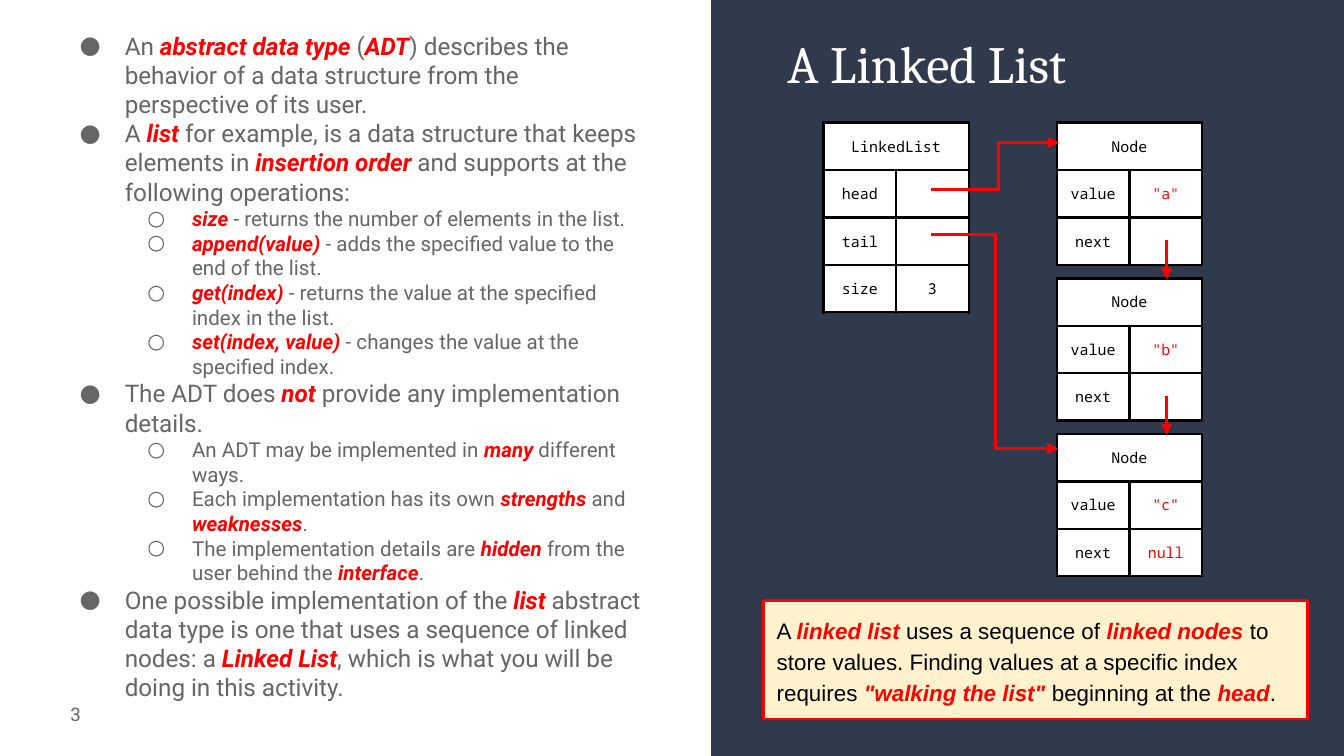
from dataclasses import dataclass

from lxml import etree
from pptx import Presentation
from pptx.dml.color import RGBColor
from pptx.enum.shapes import MSO_CONNECTOR, MSO_SHAPE
from pptx.enum.text import MSO_ANCHOR, PP_ALIGN
from pptx.oxml.ns import qn
from pptx.util import Pt

TOP, MIDDLE = MSO_ANCHOR.TOP, MSO_ANCHOR.MIDDLE
LEFT, CENTER, RIGHT = PP_ALIGN.LEFT, PP_ALIGN.CENTER, PP_ALIGN.RIGHT
STRAIGHT, ELBOW = MSO_CONNECTOR.STRAIGHT, MSO_CONNECTOR.ELBOW
RECTANGLE = MSO_SHAPE.RECTANGLE


@dataclass(frozen=True)
class Theme:
    navy: str = "31394D"
    white: str = "FFFFFF"
    black: str = "000000"
    gray: str = "666666"
    red: str = "FF0000"
    cream: str = "FFF2CC"
    title_font: str = "Cambria"
    body_font: str = "Roboto"
    code_font: str = "Noto Sans Mono"
    note_font: str = "Arial"
    title_size: float = 28
    level_sizes: tuple = (13, 11)
    note_size: float = 12
    number_size: float = 10
    code_size: float = 8
    line: float = 1.5
    inset: float = 7.2


THEME = Theme()

# Asterisks enclose the emphasised words; the number is the outline level.
ADT_POINTS = [
    (0, "An *abstract data type* (*ADT*) describes the behavior of a data "
        "structure from the perspective of its user."),
    (0, "A *list *for example, is a data structure that keeps elements in "
        "*insertion order* and supports at the following operations:"),
    (1, "*size *- returns the number of elements in the list."),
    (1, "*append(value)* - adds the specified value to the end of the list."),
    (1, "*get(index)* - returns the value at the specified index in the list."),
    (1, "*set(index, value)* - changes the value at the specified index."),
    (0, "The ADT does *not *provide any implementation details."),
    (1, "An ADT may be implemented in *many *different ways."),
    (1, "Each implementation has its own *strengths *and *weaknesses*."),
    (1, "The implementation details are *hidden *from the user behind the "
        "*interface*."),
    (0, "One possible implementation of the *list *abstract data type is one "
        "that uses a sequence of linked nodes: a *Linked List*, which is what "
        "you will be doing in this activity."),
]
WALKING_NOTE = ("A *linked list *uses a sequence of *linked nodes* to store values. "
                "Finding values at a specific index requires *\"walking the list\"* "
                "beginning at the *head*.")

BULLETS = ("●", "○")
INDENTS = ((36, -24.2), (72, -23.9))
FIELD_WIDTH, FIELD_HEIGHT = 38.9, 25.4
LIST_LEFT, NODE_LEFT, DIAGRAM_TOP, NODE_STEP = 441.2, 566.2, 65.7, 83.4


def rgb(color):
    return RGBColor.from_string(color)


def write(paragraph, text, *, font, size, color, align=LEFT, spacing=None):
    """Fill a paragraph; parts between asterisks become red bold italic."""
    paragraph.alignment = align
    if spacing:
        paragraph.line_spacing = spacing
    for index, part in enumerate(text.split("*")):
        if not part:
            continue
        emphasised = index % 2 == 1
        run = paragraph.add_run()
        run.text = part
        run.font.name, run.font.size = font, Pt(size)
        run.font.bold = run.font.italic = emphasised
        run.font.color.rgb = rgb(THEME.red if emphasised else color)


def prepare_frame(shape, anchor):
    frame = shape.text_frame
    frame.word_wrap = True
    frame.vertical_anchor = anchor
    frame.margin_left = frame.margin_right = Pt(THEME.inset)
    frame.margin_top = frame.margin_bottom = Pt(THEME.inset)
    return frame


def add_text_area(slide, box, anchor=MIDDLE):
    return prepare_frame(slide.shapes.add_textbox(*map(Pt, box)), anchor)


def add_panel(slide, box, fill, outline=None):
    panel = slide.shapes.add_shape(RECTANGLE, *map(Pt, box))
    panel.shadow.inherit = False
    panel.fill.solid()
    panel.fill.fore_color.rgb = rgb(fill)
    if outline:
        panel.line.color.rgb = rgb(outline)
        panel.line.width = Pt(THEME.line)
    else:
        panel.line.fill.background()
    return panel


def add_bullet(paragraph, level):
    paragraph.level = level
    properties = paragraph._p.get_or_add_pPr()
    margin, indent = INDENTS[level]
    properties.set("marL", str(Pt(margin)))
    properties.set("indent", str(Pt(indent)))
    color = etree.SubElement(properties, qn("a:buClr"))
    etree.SubElement(color, qn("a:srgbClr"), val=THEME.gray)
    etree.SubElement(properties, qn("a:buSzPts"), val=str(THEME.level_sizes[level] * 100))
    etree.SubElement(properties, qn("a:buFont"), typeface=THEME.body_font)
    etree.SubElement(properties, qn("a:buChar"), char=BULLETS[level])


def add_borders(cell):
    properties = cell._tc.get_or_add_tcPr()
    for position, side in enumerate(("a:lnL", "a:lnR", "a:lnT", "a:lnB")):
        border = etree.Element(qn(side), w=str(Pt(THEME.line)))
        fill = etree.SubElement(border, qn("a:solidFill"))
        etree.SubElement(fill, qn("a:srgbClr"), val=THEME.black)
        properties.insert(position, border)


def add_object_table(slide, left, top, class_name, fields, value_color):
    """Draw an object: its class name above rows of field name and value."""
    rows = [(class_name, ""), *fields]
    table = slide.shapes.add_table(len(rows), 2, Pt(left), Pt(top), Pt(2 * FIELD_WIDTH),
                                   Pt(len(rows) * FIELD_HEIGHT)).table
    table.first_row = table.horz_banding = False
    for column in table.columns:
        column.width = Pt(FIELD_WIDTH)
    table.cell(0, 0).merge(table.cell(0, 1))
    for row_index, row in enumerate(rows):
        table.rows[row_index].height = Pt(FIELD_HEIGHT)
        for column_index, text in enumerate(row):
            cell = table.cell(row_index, column_index)
            cell.fill.solid()
            cell.fill.fore_color.rgb = rgb(THEME.white)
            cell.vertical_anchor = MIDDLE
            cell.margin_left = cell.margin_right = Pt(THEME.inset if text else 0)
            cell.margin_top = cell.margin_bottom = Pt(THEME.inset if text else 0)
            write(cell.text_frame.paragraphs[0], text, font=THEME.code_font,
                  size=THEME.code_size, align=CENTER,
                  color=value_color if column_index else THEME.black)
            add_borders(cell)


def add_reference(slide, kind, start, end, bend=None):
    """Draw a red arrow; bend is the elbow's place as a share of the width."""
    arrow = slide.shapes.add_connector(kind, *map(Pt, (*start, *end)))
    arrow.line.color.rgb = rgb(THEME.red)
    arrow.line.width = Pt(THEME.line)
    etree.SubElement(arrow.line._get_or_add_ln(), qn("a:tailEnd"), type="triangle")
    properties = arrow._element.spPr
    etree.SubElement(properties, qn("a:effectLst"))
    if bend:
        adjustments = properties.find(qn("a:prstGeom")).find(qn("a:avLst"))
        etree.SubElement(adjustments, qn("a:gd"), name="adj1",
                         fmla=f"val {round(bend * 100000)}")


def main():
    presentation = Presentation()
    presentation.slide_width, presentation.slide_height = Pt(720), Pt(405)
    slide = presentation.slides.add_slide(presentation.slide_layouts[6])

    # Dark half and title
    add_panel(slide, (381, 0, 339, 405), THEME.navy)
    title = add_text_area(slide, (414.7, 9.4, 291.6, 50.4), TOP)
    write(title.paragraphs[0], "A Linked List", font=THEME.title_font,
          size=THEME.title_size, color=THEME.white)

    # Explanation of the abstract data type
    explanation = add_text_area(slide, (23.8, 21.6, 328.3, 349.2))
    for index, (level, text) in enumerate(ADT_POINTS):
        point = explanation.add_paragraph() if index else explanation.paragraphs[0]
        write(point, text, font=THEME.body_font, size=THEME.level_sizes[level],
              color=THEME.gray)
        add_bullet(point, level)

    # Slide number
    number = add_text_area(slide, (7.2, 367.2, 43.2, 31))
    write(number.paragraphs[0], "3", font=THEME.body_font, size=THEME.number_size,
          color=THEME.gray, align=RIGHT)

    # List object and its nodes
    for index, (value, following) in enumerate([('"a"', ""), ('"b"', ""), ('"c"', "null")]):
        add_object_table(slide, NODE_LEFT, DIAGRAM_TOP + index * NODE_STEP, "Node",
                         [("value", value), ("next", following)], THEME.red)
    add_object_table(slide, LIST_LEFT, DIAGRAM_TOP, "LinkedList",
                     [("head", ""), ("tail", ""), ("size", "3")], THEME.black)

    # References: head, tail, then each next
    add_reference(slide, ELBOW, (499, 101.5), (567.2, 76.3), bend=0.53)
    add_reference(slide, ELBOW, (498.5, 125.7), (566.9, 240.3), bend=0.51)
    for index in range(2):
        top = 128.6 + index * NODE_STEP
        add_reference(slide, STRAIGHT, (625, top), (625, top + 21))

    # Note on walking the list
    note = add_panel(slide, (409, 321.8, 291.6, 63.4), THEME.cream, THEME.red)
    write(prepare_frame(note, MIDDLE).paragraphs[0], WALKING_NOTE, font=THEME.note_font,
          size=THEME.note_size, color=THEME.black, spacing=1.15)

    presentation.save("out.pptx")


if __name__ == "__main__":
    main()
